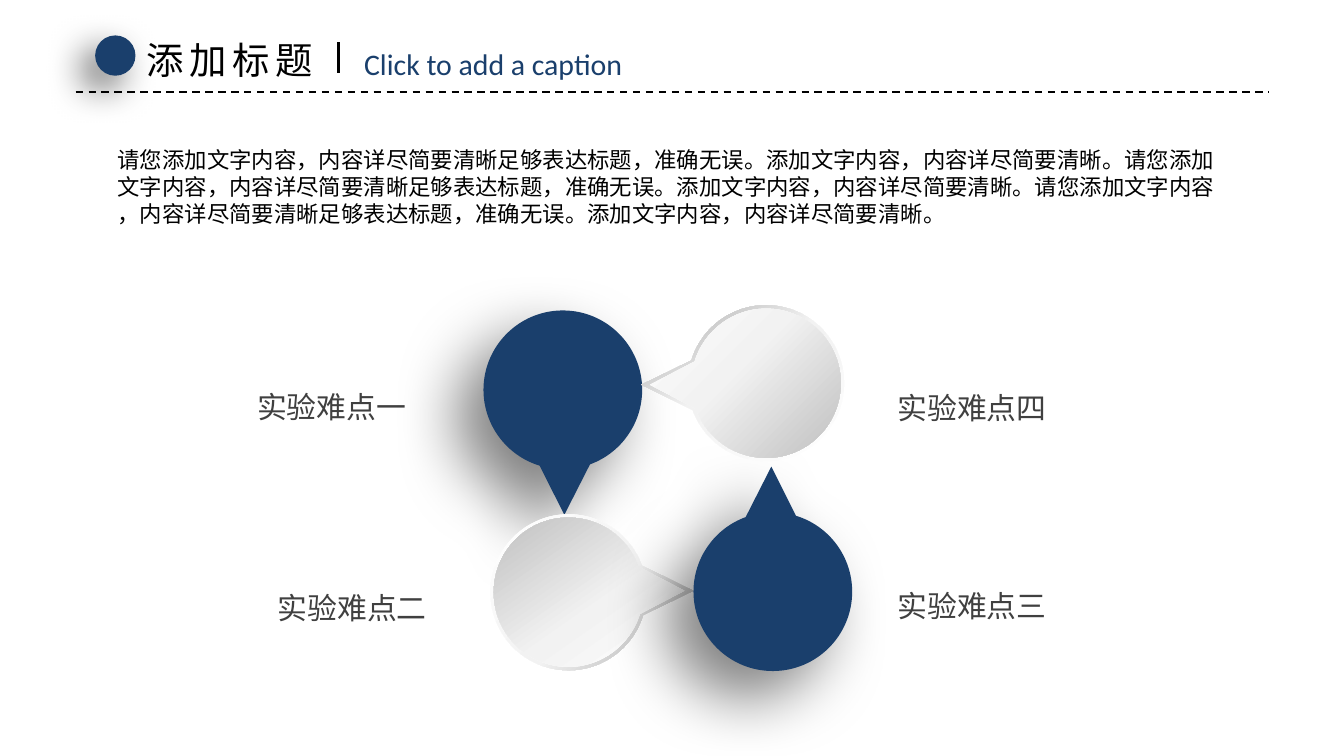
from math import cos, radians, sin, tan

from lxml import etree
from pptx import Presentation
from pptx.dml.color import RGBColor
from pptx.enum.dml import MSO_LINE
from pptx.enum.shapes import MSO_CONNECTOR, MSO_SHAPE
from pptx.enum.text import MSO_ANCHOR, MSO_AUTO_SIZE, PP_ALIGN
from pptx.oxml import parse_xml
from pptx.oxml.ns import nsdecls, qn
from pptx.util import Pt

DASH = MSO_LINE.DASH
STRAIGHT = MSO_CONNECTOR.STRAIGHT
OVAL = MSO_SHAPE.OVAL
TOP = MSO_ANCHOR.TOP
GROW = MSO_AUTO_SIZE.SHAPE_TO_FIT_TEXT
LEFT = PP_ALIGN.LEFT

THEME = {
    "navy": "1A3F6C", "black": "000000", "label": "404040",
    "cjk": "Noto Sans CJK SC", "latin": "Calibri",
    "title": 20, "caption": 16, "body": 12, "leading": 1.2,
    "rim": [(0, "FFFFFF"), (55, "F2F2F2"), (100, "A6A6A6")],
    "face": [(0, "FFFFFF"), (43, "F2F2F2"), (100, "BFBFBF")],
}

# Content
TITLE = "添加标题"
CAPTION = "Click to add a caption"
INTRO = [
    "请您添加文字内容，内容详尽简要清晰足够表达标题，准确无误。添加文字内容，内容详尽简要清晰。请您添加",
    "文字内容，内容详尽简要清晰足够表达标题，准确无误。添加文字内容，内容详尽简要清晰。请您添加文字内容",
    "，内容详尽简要清晰足够表达标题，准确无误。添加文字内容，内容详尽简要清晰。",
]
LABELS = [  # text, left, top
    ("实验难点二", 141.8, 312.2), ("实验难点三", 473.8, 311.3),
    ("实验难点四", 473.8, 205), ("实验难点一", 130.6, 204.8),
]
# style, circle centre, direction of the tip (0 up, clockwise), rim gradient angle
PINS = [
    ("navy", (301.5, 208.8), 180, None),
    ("grey", (304.5, 317.3), 90, 45),
    ("navy", (414, 317), 0, None),
    ("grey", (410.4, 205.3), 270, 235),
]
NAVY_SIZE, RIM_SIZE, FACE_SIZE = (42.5, 67), (41.8, 66.8), (40, 62.2)  # radius, tip reach
TIP_SHIFT = -0.8
ARC_STOPS = [17, 90, 180, 270, 340]  # degrees clockwise from the top, shoulder to shoulder


def color(name):
    return RGBColor.from_string(THEME[name])


def write(shape, lines, size, ink, font="cjk", spacing=None):
    frame = shape.text_frame
    frame.text = "\n".join(lines)
    frame.word_wrap = False
    frame.auto_size = GROW
    frame.vertical_anchor = TOP
    for paragraph in frame.paragraphs:
        paragraph.alignment = LEFT
        paragraph.line_spacing = Pt(round(THEME[size] * THEME["leading"], 2))
        paragraph.font.size = Pt(THEME[size])
        paragraph.font.name = THEME[font]
        paragraph.font.color.rgb = color(ink)
        east_asian = etree.SubElement(paragraph.font._element, qn("a:ea"))
        east_asian.set("typeface", THEME[font])
        if spacing:
            for run in paragraph.runs:
                run.font._element.set("spc", str(spacing * 100))


def add_text(left, top, width, height, *args):
    box = slide.shapes.add_textbox(Pt(left), Pt(top), Pt(width), Pt(height))
    write(box, *args)


def add_rule(x1, y1, x2, y2, width, dash=None):
    rule = slide.shapes.add_connector(STRAIGHT, Pt(x1), Pt(y1), Pt(x2), Pt(y2))
    rule.line.color.rgb = color("black")
    rule.line.width = Pt(width)
    if dash:
        rule.line.dash_style = dash
    etree.SubElement(rule._element.spPr, qn("a:effectLst"))


def paint_navy(shape, opacity, blur, distance):
    shape.fill.solid()
    shape.fill.fore_color.rgb = color("navy")
    shape.line.fill.background()
    shape._element.spPr.append(parse_xml(
        f'<a:effectLst {nsdecls("a")}><a:outerShdw blurRad="{Pt(blur)}" dist="{Pt(distance)}" '
        f'dir="8100000" algn="tr" rotWithShape="0"><a:srgbClr val="{THEME["black"]}">'
        f'<a:alpha val="{opacity * 1000}"/></a:srgbClr></a:outerShdw></a:effectLst>'))


def paint_gradient(shape, stops, angle):
    shape.shadow.inherit = False
    shape.line.fill.background()
    marks = "".join(f'<a:gs pos="{at * 1000}"><a:srgbClr val="{tone}"/></a:gs>'
                    for at, tone in stops)
    shape._element.spPr.find(qn("a:custGeom")).addnext(parse_xml(
        f'<a:gradFill {nsdecls("a")} rotWithShape="0"><a:gsLst>{marks}</a:gsLst>'
        f'<a:lin ang="{angle * 60000}" scaled="0"/></a:gradFill>'))


def add_pin(center, size, turn):
    radius, reach = size
    # Rotation is about the frame, whose middle lies toward the tip
    shift = (reach - radius) / 2
    x = center[0] + shift * sin(radians(turn))
    y = center[1] - shift * cos(radians(turn)) + shift

    def on_circle(angle, along=0):
        a = radians(angle)
        return (Pt(x + radius * (sin(a) + along * cos(a))),
                Pt(y - radius * (cos(a) - along * sin(a))))

    outline = slide.shapes.build_freeform(Pt(x + TIP_SHIFT), Pt(y - reach))
    outline.add_line_segments([on_circle(angle) for angle in ARC_STOPS])
    pin = outline.convert_to_shape()
    # Bend the sides between the arc stops into curves
    sides = list(pin._element.iter(qn("a:lnTo")))[1:len(ARC_STOPS)]
    for side, start, end in zip(sides, ARC_STOPS, ARC_STOPS[1:]):
        handle = 4 / 3 * tan(radians(end - start) / 4)
        side.tag = qn("a:cubicBezTo")
        for index, (px, py) in enumerate((on_circle(start, handle), on_circle(end, -handle))):
            control = etree.Element(qn("a:pt"), x=str(px - pin.left), y=str(py - pin.top))
            side.insert(index, control)
    pin.rotation = turn
    return pin


prs = Presentation()
prs.slide_width, prs.slide_height = Pt(720), Pt(405)
slide = prs.slides.add_slide(prs.slide_layouts[5])

# Header
add_rule(40.5, 49.2, 679.5, 49.2, 1, DASH)
dot = slide.shapes.add_shape(OVAL, Pt(51), Pt(19), Pt(21.6), Pt(21.6))
paint_navy(dot, 60, 20, 10)
heading = slide.shapes.title
heading.left, heading.top, heading.width, heading.height = Pt(71.3), Pt(16.5), Pt(107.3), Pt(31.6)
write(heading, [TITLE], "title", "black", "cjk", 3)
add_text(188, 21, 162, 26.7, [CAPTION], "caption", "navy", "latin")
add_rule(181.3, 22.7, 181.3, 38.9, 1.5)

# Introduction and labels
add_text(55.9, 74.8, 608.4, 51.1, INTRO, "body", "black")
for label, left, top in LABELS:
    add_text(left, top, 95, 26.7, [label], "caption", "label")

# Ring of pins
for style, center, turn, angle in PINS:
    if style == "navy":
        paint_navy(add_pin(center, NAVY_SIZE, turn), 50, 35, 20)
    else:
        paint_gradient(add_pin(center, RIM_SIZE, turn), THEME["rim"], angle)
        paint_gradient(add_pin(center, FACE_SIZE, turn), THEME["face"], 280 - angle)

prs.save("out.pptx")
